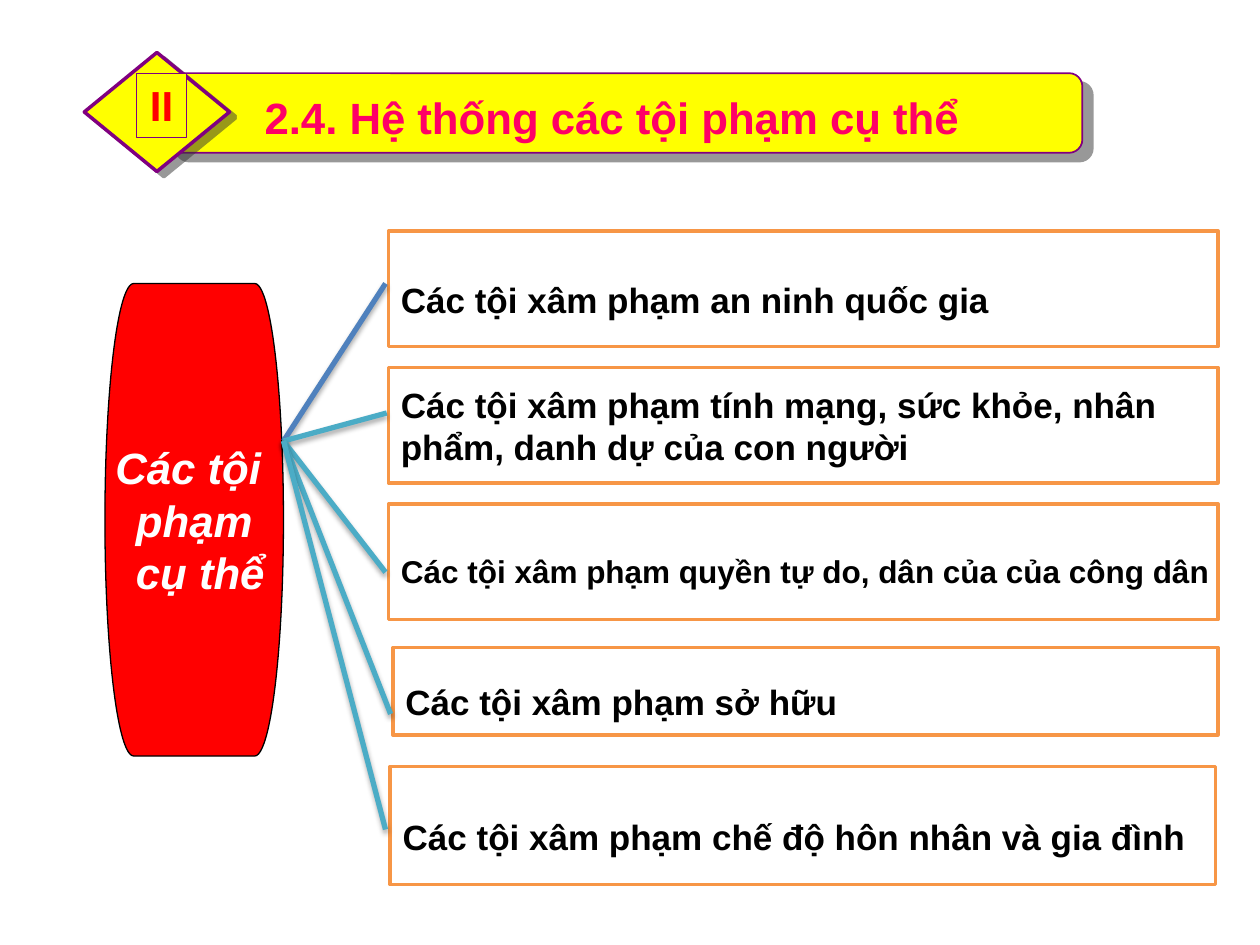
from lxml import etree
from pptx import Presentation
from pptx import util as u
from pptx.dml.color import RGBColor
from pptx.enum import shapes, text
from pptx.oxml import ns

Pt = u.Pt
FONT = "Arial"
WHITE = RGBColor(0xFF, 0xFF, 0xFF)
BLACK = RGBColor(0, 0, 0)
RED = RGBColor(0xFF, 0, 0)
PINK = RGBColor(0xFF, 0, 0x66)
YELLOW = RGBColor(0xFF, 0xFF, 0)
PURPLE = RGBColor(0x80, 0, 0x80)
ORANGE = RGBColor(0xF7, 0x96, 0x46)
BLUE = RGBColor(0x4F, 0x81, 0xBD)
TEAL = RGBColor(0x4B, 0xAC, 0xC6)

# Content
HEADING = "2.4. Hệ thống các tội phạm cụ thể"
NUMERAL = "II"
ROOT = ["Các tội ", "phạm", " cụ thể"]
# lines, size, line spacing, box (left, top, width, height), branch end, branch colour
CRIMES = [
    (["Các tội xâm phạm an ninh quốc gia"], 20, 1.5,
     (222, 132, 474, 66), (220.3, 162), BLUE),
    (["Các tội xâm phạm tính mạng, sức khỏe, nhân", "phẩm, danh dự của con người"], 20, 1,
     (222, 210, 474, 66), (221, 236), TEAL),
    (["Các tội xâm phạm quyền tự do, dân của của công dân"], 18, 1.5,
     (222, 288, 474, 66), (220.3, 327), TEAL),
    (["Các tội xâm phạm sở hữu"], 20, 1.5,
     (224.5, 370, 471.5, 50), (223.2, 408), TEAL),
    (["Các tội xâm phạm chế độ hôn nhân và gia đình"], 20, 1.5,
     (223, 438, 471.5, 67.5), (220.3, 474), TEAL),
]
BRANCH_START = (162, 252)


def add_shadow(shape, color, alpha, blur, distance, angle):
    """Give the shape an outer shadow; blur and distance are in points."""
    properties = shape.element.spPr
    effects = properties.find(ns.qn("a:effectLst"))
    if effects is None:
        effects = etree.SubElement(properties, ns.qn("a:effectLst"))
    outer = etree.SubElement(effects, ns.qn("a:outerShdw"), blurRad=str(Pt(blur)),
                             dist=str(Pt(distance)), dir=str(angle * 60000),
                             algn="ctr", rotWithShape="0")
    tint = etree.SubElement(outer, ns.qn("a:srgbClr"), val=color)
    etree.SubElement(tint, ns.qn("a:alpha"), val=str(alpha * 1000))


def add_block(slide, kind, box, fill, line=None, width=0):
    block = slide.shapes.add_shape(kind, *map(Pt, box))
    block.shadow.inherit = False
    block.fill.solid()
    block.fill.fore_color.rgb = fill
    if line is None:
        block.line.fill.background()
    else:
        block.line.color.rgb = line
        block.line.width = Pt(width)
    return block


def write(shape, lines, size, color, align=text.PP_ALIGN.LEFT,
          anchor=text.MSO_ANCHOR.MIDDLE, spacing=1, italic=False):
    frame = shape.text_frame
    frame.word_wrap = False
    frame.auto_size = text.MSO_AUTO_SIZE.NONE
    frame.vertical_anchor = anchor
    for i, line in enumerate(lines):
        paragraph = frame.paragraphs[0] if i == 0 else frame.add_paragraph()
        paragraph.alignment = align
        paragraph.line_spacing = spacing
        paragraph.space_before = Pt(0)
        run = paragraph.add_run()
        run.text = line
        run.font.name = FONT
        run.font.size = Pt(size)
        run.font.bold = True
        run.font.italic = italic
        run.font.color.rgb = color


def main():
    deck = Presentation()
    deck.slide_width, deck.slide_height = Pt(720), Pt(540)
    slide = deck.slides.add_slide(deck.slide_layouts[5])
    preset = shapes.MSO_SHAPE
    center, top = text.PP_ALIGN.CENTER, text.MSO_ANCHOR.TOP

    # Heading band with its numbered diamond
    band = add_block(slide, preset.ROUNDED_RECTANGLE, (94.5, 41.8, 524, 45.5), YELLOW, PURPLE, 1)
    add_shadow(band, "333333", 50, 0, 7.8, 40)
    diamond = add_block(slide, preset.DIAMOND, (48.2, 30, 83, 68), YELLOW, PURPLE, 2)
    add_shadow(diamond, "333333", 50, 0, 5, 37)
    add_block(slide, preset.RECTANGLE, (135.4, 55.4, 475, 29), YELLOW)
    numeral = add_block(slide, preset.RECTANGLE, (78, 42, 28.6, 36.5), YELLOW, PURPLE, 0.75)
    write(numeral, [NUMERAL], 24, RED, center, top)

    # Title, brought in front of the band
    title = slide.shapes.title
    title.left, title.top, title.width, title.height = map(Pt, (144, 48, 423, 37.5))
    write(title, [HEADING], 25, PINK, anchor=top)
    title.element.getparent().append(title.element)

    # Root of the tree
    root = add_block(slide, preset.FLOWCHART_TERMINATOR, (60, 162, 102, 270), RED, BLACK, 0.75)
    write(root, ROOT, 25, WHITE, center, italic=True)

    # Groups of crimes and their branches
    for lines, size, spacing, box, end, color in CRIMES:
        crime = add_block(slide, preset.RECTANGLE, box, WHITE, ORANGE, 2)
        write(crime, lines, size, BLACK, spacing=spacing)
        branch = slide.shapes.add_connector(shapes.MSO_CONNECTOR.STRAIGHT,
                                            *map(Pt, BRANCH_START + end))
        branch.line.color.rgb = color
        branch.line.width = Pt(3)
        add_shadow(branch, "000000", 35, 3.1, 1.8, 90)

    deck.save("out.pptx")


if __name__ == "__main__":
    main()
